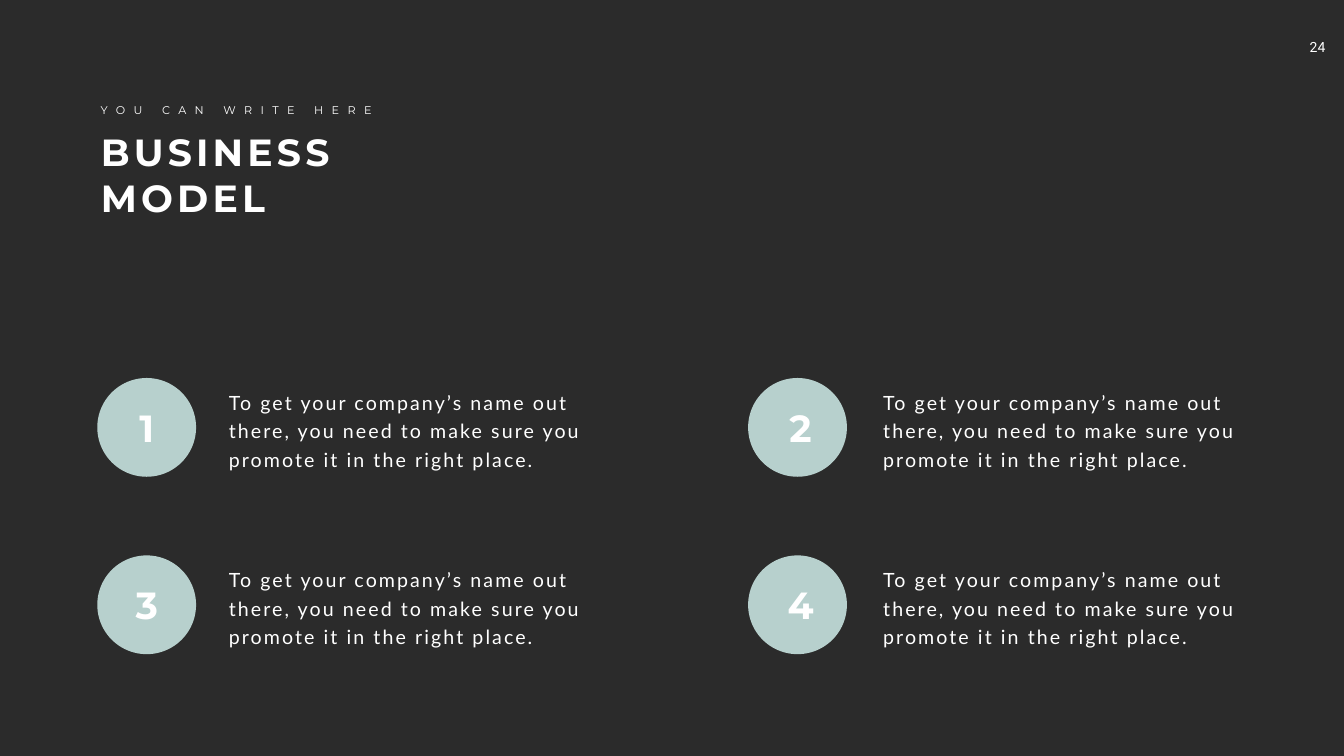
from dataclasses import dataclass
from itertools import product

from pptx import Presentation
from pptx.dml.color import RGBColor as RGB
from pptx.enum.shapes import MSO_SHAPE as Shape
from pptx.enum.text import MSO_ANCHOR as Anchor, MSO_AUTO_SIZE as Fit, PP_ALIGN as Align
from pptx.util import Pt

PX = 9144  # EMU per px, 100 px to the inch


@dataclass(frozen=True)
class Theme:
    back: RGB = RGB.from_string("2B2B2B")
    ink: RGB = RGB.from_string("FFFFFF")
    disc: RGB = RGB.from_string("B7D0CD")
    head: tuple = ("Montserrat", 54, True, 6)
    kicker: tuple = ("Montserrat", 16, False, 12)
    body: tuple = ("Lato", 28, False, 3)
    page: tuple = ("Roboto", 20, False, 0)
    lead: float = 40.8


THEME = Theme()
COPY = (
    "To get your company’s name out there, you need to make sure you "
    "promote it in the right place."
)
COLS = ((193, 237, 444), (1484, 1534, 1742))  # left of disc, number, text
ROWS = (750, 1102)
DISC = 196


def emu(*nums):
    return [num * PX for num in nums]


def apply(obj, vals):
    for name, val in vals.items():
        setattr(obj, name, val)


def write(shape, text, style, align=Align.LEFT, lead=None, wrap=True):
    """Fill a shape with one paragraph in a theme style."""
    face, size, bold, track = style
    frame = shape.text_frame
    apply(frame, {
        "word_wrap": wrap,
        "auto_size": Fit.NONE,
        "vertical_anchor": Anchor.TOP,
    })
    para = frame.paragraphs[0]
    apply(para, {"alignment": align, "line_spacing": lead and Pt(lead)})
    run = para.add_run()
    run.text = text
    apply(run.font, {"name": face, "size": Pt(size), "bold": bold})
    run.font.color.rgb = THEME.ink
    if track:
        run.font._element.set("spc", str(track * 100))


def label(slide, box, text, style, **opts):
    shape = slide.shapes.add_textbox(*emu(*box))
    write(shape, text, style, **opts)
    return shape


def title(slide, box, text):
    shape = slide.shapes.title
    apply(shape, dict(zip(("left", "top", "width", "height"), emu(*box))))
    write(shape, text, THEME.head)


def disc(slide, left, top):
    shape = slide.shapes.add_shape(Shape.OVAL, *emu(left, top, DISC, DISC))
    shape.shadow.inherit = False
    shape.fill.solid()
    shape.fill.fore_color.rgb = THEME.disc
    shape.line.fill.background()


def point(slide, num, top, col):
    """Draw a numbered disc with its text beside it."""
    left, mid, right = col
    disc(slide, left, top)
    label(slide, (mid, top + 48, 108, 101), str(num), THEME.head, align=Align.CENTER)
    label(slide, (right, top + 10, 731, 177), COPY, THEME.body, lead=THEME.lead)


def main():
    deck = Presentation()
    deck.slide_width, deck.slide_height = emu(2666, 1500)
    slide = deck.slides.add_slide(deck.slide_layouts.get_by_name("Title Only"))
    slide.background.fill.solid()
    slide.background.fill.fore_color.rgb = THEME.back

    page = label(slide, (2563, 67, 101, 54), "24", THEME.page, align=Align.CENTER)
    apply(page.text_frame, {"margin_top": 10 * PX, "margin_bottom": 10 * PX})
    label(slide, (190, 201, 578, 37), "YOU CAN WRITE HERE", THEME.kicker, wrap=False)
    title(slide, (190, 251, 686, 192), "BUSINESS MODEL")
    for num, (top, col) in enumerate(product(ROWS, COLS), 1):
        point(slide, num, top, col)
    deck.save("out.pptx")


if __name__ == "__main__":
    main()
